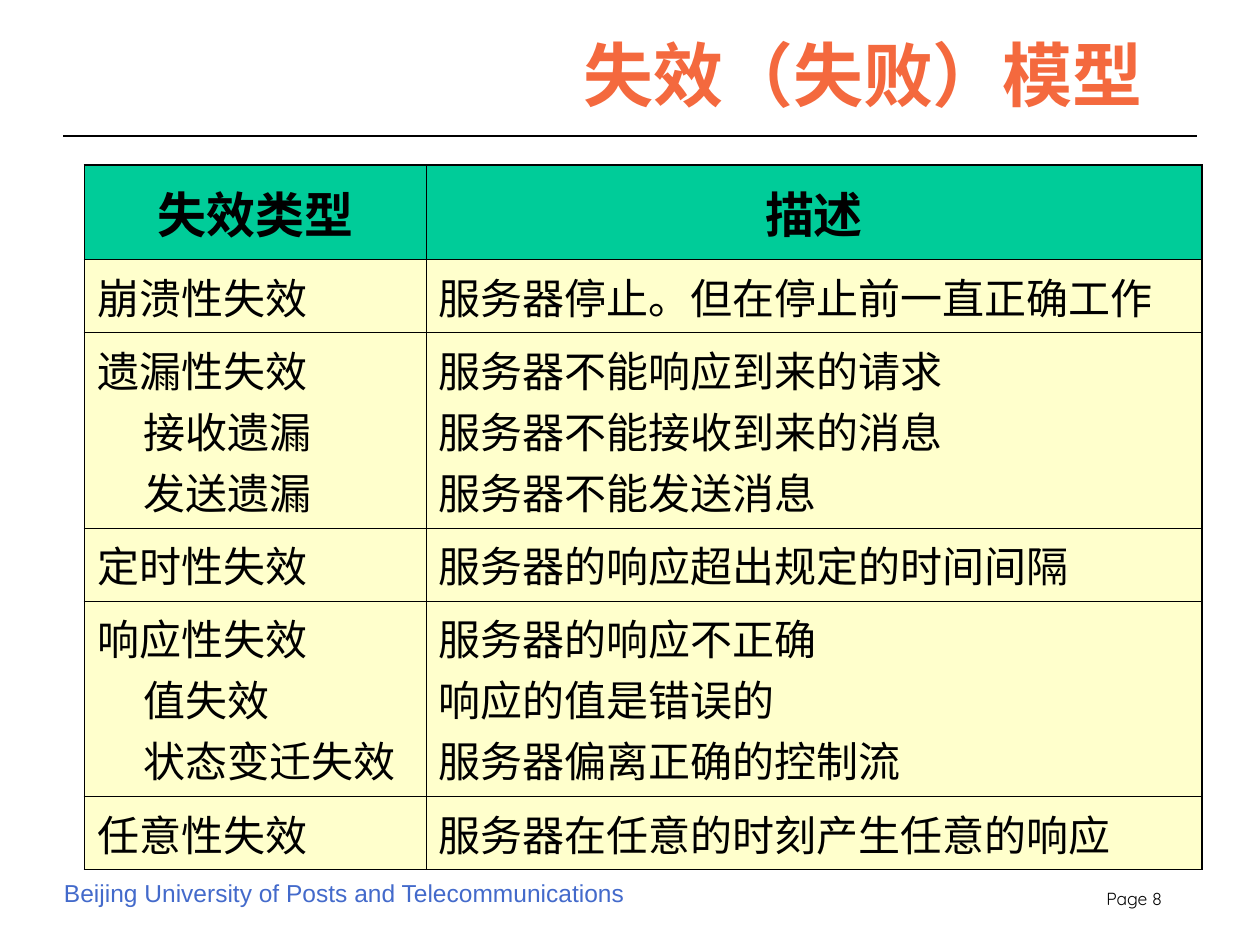
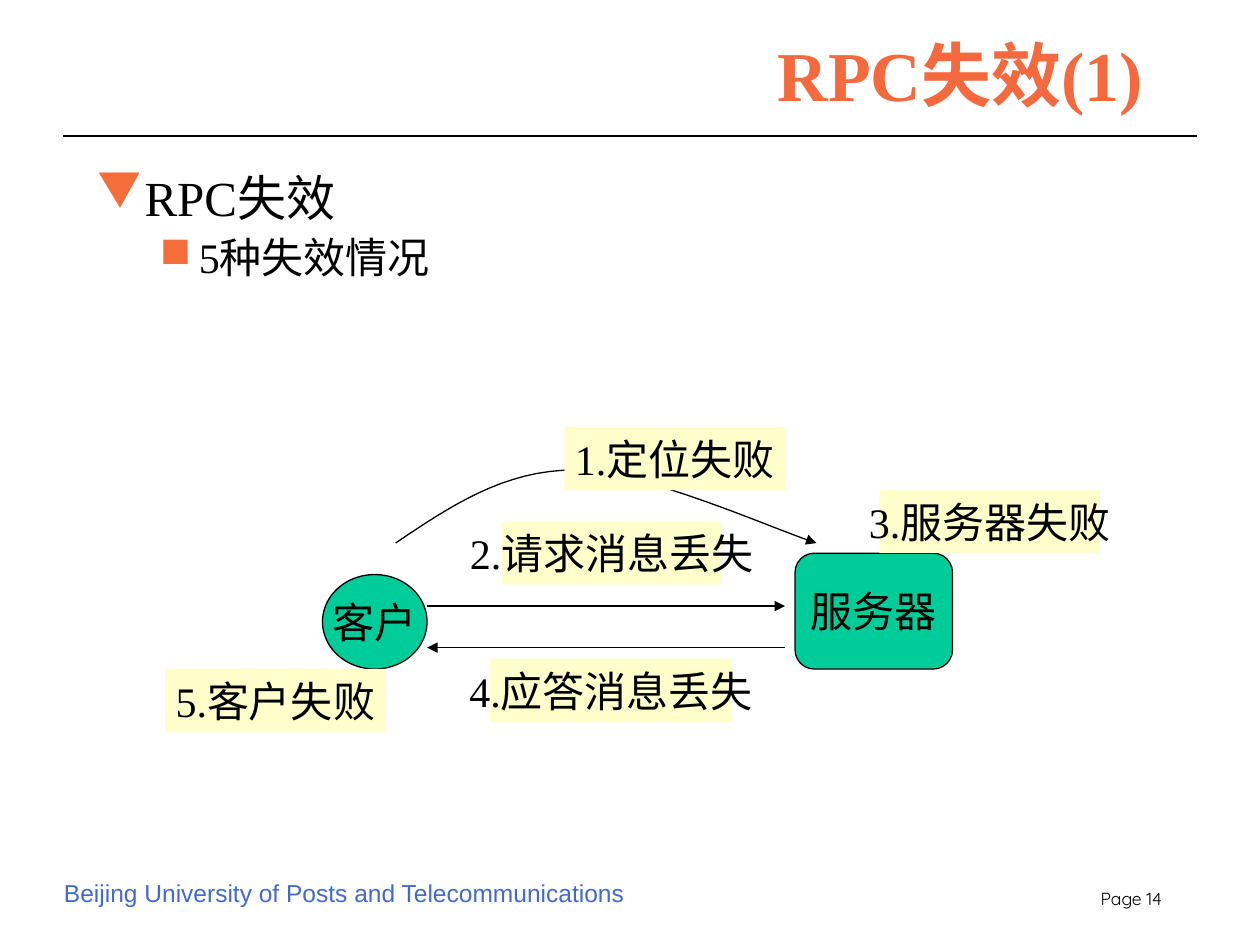
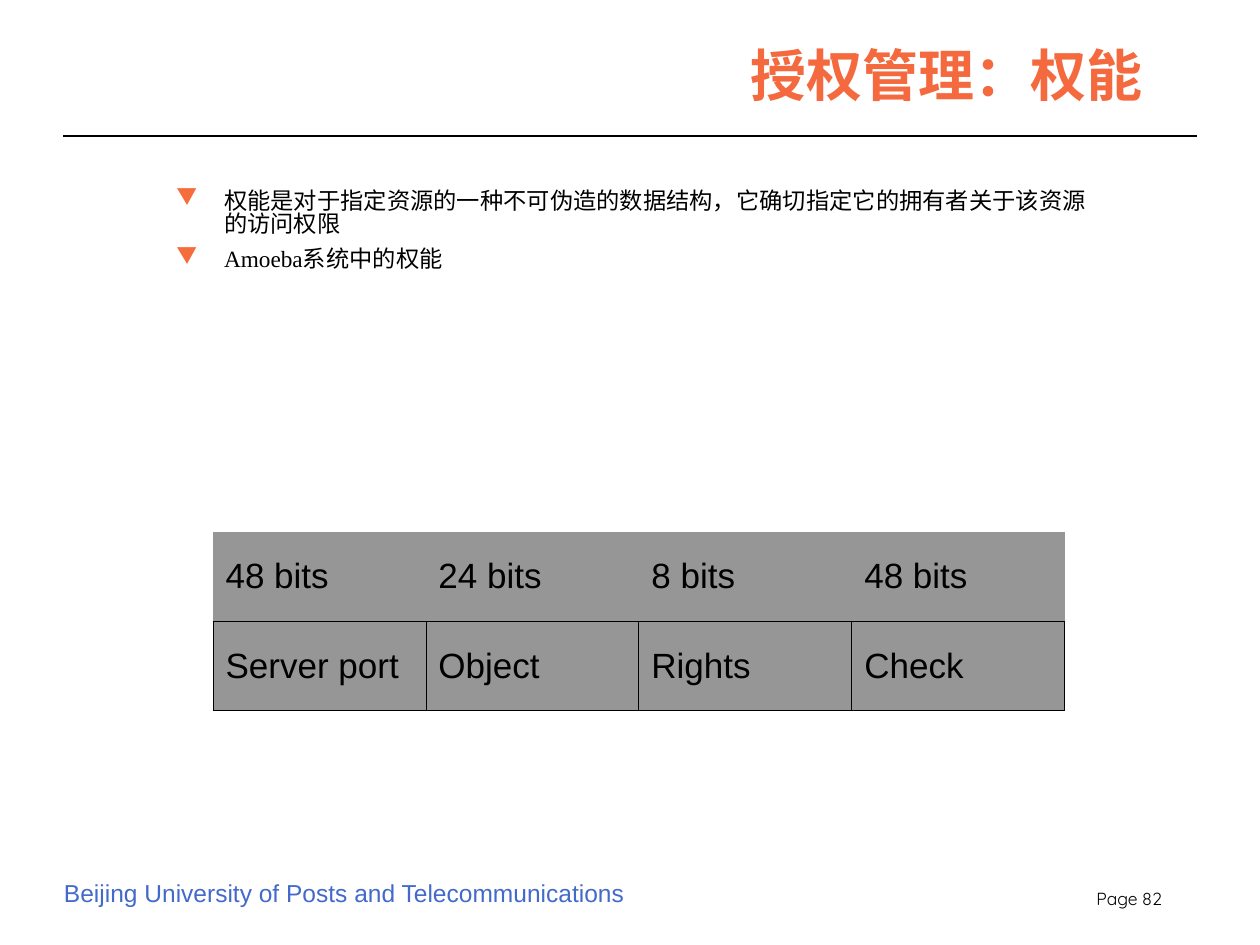
from lxml.etree import SubElement
from pptx import Presentation
from pptx.dml.color import RGBColor
from pptx.enum.shapes import MSO_CONNECTOR, MSO_SHAPE
from pptx.enum.text import MSO_ANCHOR, MSO_AUTO_SIZE, PP_ALIGN
from pptx.oxml.ns import qn
from pptx.util import Inches, Pt

# Shared style
ORANGE, BULLET, BLUE = "F4693E", "F66D3C", "436ACB"
BLACK, GREEN, CREAM, GRAY = "000000", "00CC99", "FFFFCC", "969696"
SERIF, SANS, ROUND = "Times New Roman", "Arial", "Quicksand"
SCHOOL = "Beijing University of Posts and Telecommunications"
THIN, THICK = 0.45, 1.08

# Slide 1: each cell is a list of lines, a leading ">" marks an indented one
FAULTS = [
    (["失效类型"], ["描述"]),
    (["崩溃性失效"], ["服务器停止。但在停止前一直正确工作"]),
    (["遗漏性失效", ">接收遗漏", ">发送遗漏"],
     ["服务器不能响应到来的请求", "服务器不能接收到来的消息", "服务器不能发送消息"]),
    (["定时性失效"], ["服务器的响应超出规定的时间间隔"]),
    (["响应性失效", ">值失效", ">状态变迁失效"],
     ["服务器的响应不正确", "响应的值是错误的", "服务器偏离正确的控制流"]),
    (["任意性失效"], ["服务器在任意的时刻产生任意的响应"]),
]
HEAD_H, ROW_H, TALL_H = 0.75, 0.58, 1.55

# Slide 2: text, level
RPC = [("RPC失效", 0), ("5种失效情况", 1)]
NODES = [
    ("客户", MSO_SHAPE.OVAL, (2.56, 4.56, 0.83, 0.75)),
    ("服务器", MSO_SHAPE.FLOWCHART_ALTERNATE_PROCESS, (6.31, 4.39, 1.25, 0.92)),
]
LABELS = [
    ("1.定位失败", 4.48, 3.39, 1.75),
    ("2.请求消息丢失", 3.98, 4.14, 1.75),
    ("3.服务器失败", 6.98, 3.89, 1.75),
    ("5.客户失败", 1.31, 5.31, 1.75),
    ("4.应答消息丢失", 3.89, 5.23, 1.92),
]
ARROWS = [((3.39, 4.81), (6.23, 4.81)), ((6.23, 5.14), (3.39, 5.14))]
CURVE = [
    ((3.14, 4.31), (3.57, 4.02), (4, 3.73), (4.56, 3.73)),
    ((4.56, 3.73), (5.11, 3.73), (6.16, 4.21), (6.48, 4.31)),
]

# Slide 3
RIGHTS = [
    ("权能是对于指定资源的一种不可伪造的数据结构，它确切指定它的拥有者关于该资源的访问权限", 0),
    ("Amoeba系统中的权能", 0),
]
FIELDS = [
    ("48 bits", "24 bits", "8 bits", "48 bits"),
    ("Server port", "Object", "Rights", "Check"),
]

# Left margin, hanging indent, space before, mark for each level
LEVELS = [(0.38, 0.38, 7, "▼"), (0.81, 0.31, 6, "■")]


def rgb(color):
    return RGBColor.from_string(color)


def box(*sizes):
    return [Inches(size) for size in sizes]


def style(para, size, name, color=BLACK, **more):
    para.font.color.rgb = rgb(color)
    for key, value in {"size": Pt(size), "name": name, **more}.items():
        setattr(para.font, key, value)


def text_box(slide, place, wrap=True):
    frame = slide.shapes.add_textbox(*box(*place)).text_frame
    frame.word_wrap = wrap
    return frame


def draw_line(line, arrow=False):
    line.color.rgb = rgb(BLACK)
    line.width = Pt(0.75)
    if arrow:
        SubElement(line._get_or_add_ln(), qn("a:tailEnd"), type="triangle")


def connect(slide, start, end, arrow=False):
    link = slide.shapes.add_connector(MSO_CONNECTOR.STRAIGHT, *box(*start, *end))
    draw_line(link.line, arrow)
    SubElement(link._element.spPr, qn("a:effectLst"))


def new_slide(deck, title, page, size=40):
    """Add a slide with its title, rule and footer."""
    slide = deck.slides.add_slide(deck.slide_layouts[5])
    head = slide.shapes.title
    head.left, head.top, head.width, head.height = box(2.75, 0.25, 6.42, 0.67)
    frame = head.text_frame
    frame.text = title
    frame.auto_size = MSO_AUTO_SIZE.NONE
    frame.vertical_anchor = MSO_ANCHOR.MIDDLE
    para = frame.paragraphs[0]
    para.alignment = PP_ALIGN.RIGHT
    style(para, size, SERIF, ORANGE, bold=True)

    connect(slide, (0.5, 1.08), (9.5, 1.08))
    foot = text_box(slide, (0.41, 6.92, 4.67, 0.33), False)
    foot.text = SCHOOL
    style(foot.paragraphs[0], 14, SANS, BLUE)
    foot = text_box(slide, (8.01, 7, 1.31, 0.29))
    foot.text = f"Page {page}"
    foot.paragraphs[0].alignment = PP_ALIGN.RIGHT
    style(foot.paragraphs[0], 10, ROUND)
    return slide


def add_list(slide, place, items, sizes, pitch):
    frame = text_box(slide, place)
    for i, (text, level) in enumerate(items):
        para = frame.add_paragraph() if i else frame.paragraphs[0]
        left, hang, gap, mark = LEVELS[level]
        para.text = text
        para.level = level
        props = para._p.get_or_add_pPr()
        props.set("marL", str(Inches(left)))
        props.set("indent", str(-Inches(hang)))
        tint = SubElement(props, qn("a:buClr"))
        SubElement(tint, qn("a:srgbClr"), val=BULLET)
        SubElement(props, qn("a:buChar"), char=mark)
        para.line_spacing = pitch
        if i:
            para.space_before = Pt(gap)
        style(para, sizes[level], SERIF)


def add_node(slide, text, kind, place, fill):
    shape = slide.shapes.add_shape(kind, *box(*place))
    shape.shadow.inherit = False
    shape.fill.solid()
    shape.fill.fore_color.rgb = rgb(fill)
    frame = shape.text_frame
    frame.word_wrap = False
    frame.text = text
    frame.vertical_anchor = MSO_ANCHOR.MIDDLE
    frame.paragraphs[0].alignment = PP_ALIGN.CENTER
    style(frame.paragraphs[0], 24, SERIF)
    return shape


def add_grid(slide, left, top, cols, rows):
    place = box(left, top, sum(cols), sum(rows))
    grid = slide.shapes.add_table(len(rows), len(cols), *place).table
    grid.first_row = grid.horz_banding = False
    for col, width in zip(grid.columns, cols):
        col.width = Inches(width)
    for row, height in zip(grid.rows, rows):
        row.height = Inches(height)
    return grid


def fill_cell(cell, lines, fill, edges, middle=True):
    """Write a cell; edges holds the left, right, top and bottom widths."""
    cell.text = "\n".join(line.lstrip(">") for line in lines)
    cell.vertical_anchor = MSO_ANCHOR.MIDDLE if middle else MSO_ANCHOR.TOP
    props = cell._tc.get_or_add_tcPr()
    for side, width in zip("LRTB", edges):
        edge = SubElement(props, qn(f"a:ln{side}"), w=str(Pt(width)))
        if width:
            paint = SubElement(edge, qn("a:solidFill"))
            SubElement(paint, qn("a:srgbClr"), val=BLACK)
        else:
            SubElement(edge, qn("a:noFill"))
    cell.fill.solid()
    cell.fill.fore_color.rgb = rgb(fill)
    return cell.text_frame.paragraphs


def fault_slide(deck):
    slide = new_slide(deck, "失效（失败）模型", 8)
    rows = [HEAD_H] + [TALL_H if len(kind) > 1 else ROW_H for kind, _ in FAULTS[1:]]
    grid = add_grid(slide, 0.67, 1.31, [2.71, 6.16], rows)
    last = len(FAULTS) - 1
    for r, row in enumerate(FAULTS):
        top = r == 0
        for c, lines in enumerate(row):
            outer = (c == 0, c == 1, top, r == last)
            edges = [THICK if side else THIN for side in outer]
            paras = fill_cell(grid.cell(r, c), lines, GREEN if top else CREAM, edges, top)
            for para, line in zip(paras, lines):
                if line.startswith(">"):
                    para._p.get_or_add_pPr().set("marL", str(Inches(0.37)))
                if top:
                    para.alignment = PP_ALIGN.CENTER
                style(para, 28 if top else 24, SANS, bold=top)


def bezier(points, t):
    parts = ((1 - t) ** 3, 3 * t * (1 - t) ** 2, 3 * t * t * (1 - t), t ** 3)
    return box(*(sum(w * p[axis] for w, p in zip(parts, points)) for axis in (0, 1)))


def rpc_slide(deck):
    slide = new_slide(deck, "RPC失效(1)", 14)
    add_list(slide, (0.67, 1.33, 8.5, 5.42), RPC, (28, 24), 0.9)
    for text, kind, place in NODES:
        draw_line(add_node(slide, text, kind, place, GREEN).line)

    # Curved arrow from client to server
    steps = 16
    dots = [bezier(part, i / steps) for part in CURVE for i in range(1, steps + 1)]
    pen = slide.shapes.build_freeform(*box(*CURVE[0][0]))
    pen.add_line_segments(dots, close=False)
    arc = pen.convert_to_shape()
    arc.shadow.inherit = False
    arc.fill.background()
    draw_line(arc.line, True)

    # Failure labels and message arrows
    for text, left, top, width in LABELS:
        label = add_node(slide, text, MSO_SHAPE.RECTANGLE, (left, top, width, 0.5), CREAM)
        label.line.fill.background()
    for start, end in ARROWS:
        connect(slide, start, end, True)


def rights_slide(deck):
    slide = new_slide(deck, "授权管理：权能", 82, 32)
    add_list(slide, (1.3, 1.47, 7.56, 0.92), RIGHTS, (13.3,), 0.82)
    grid = add_grid(slide, 1.69, 4.22, [1.69] * 4, [0.71] * 2)
    for r, row in enumerate(FIELDS):
        edges = [THIN] * 4 if r else [0, 0, 0, THIN]
        for c, text in enumerate(row):
            style(fill_cell(grid.cell(r, c), [text], GRAY, edges)[0], 20, SANS)


def main():
    deck = Presentation()
    deck.slide_width, deck.slide_height = box(10, 7.5)
    for build in (fault_slide, rpc_slide, rights_slide):
        build(deck)
    deck.save("out.pptx")


if __name__ == "__main__":
    main()
